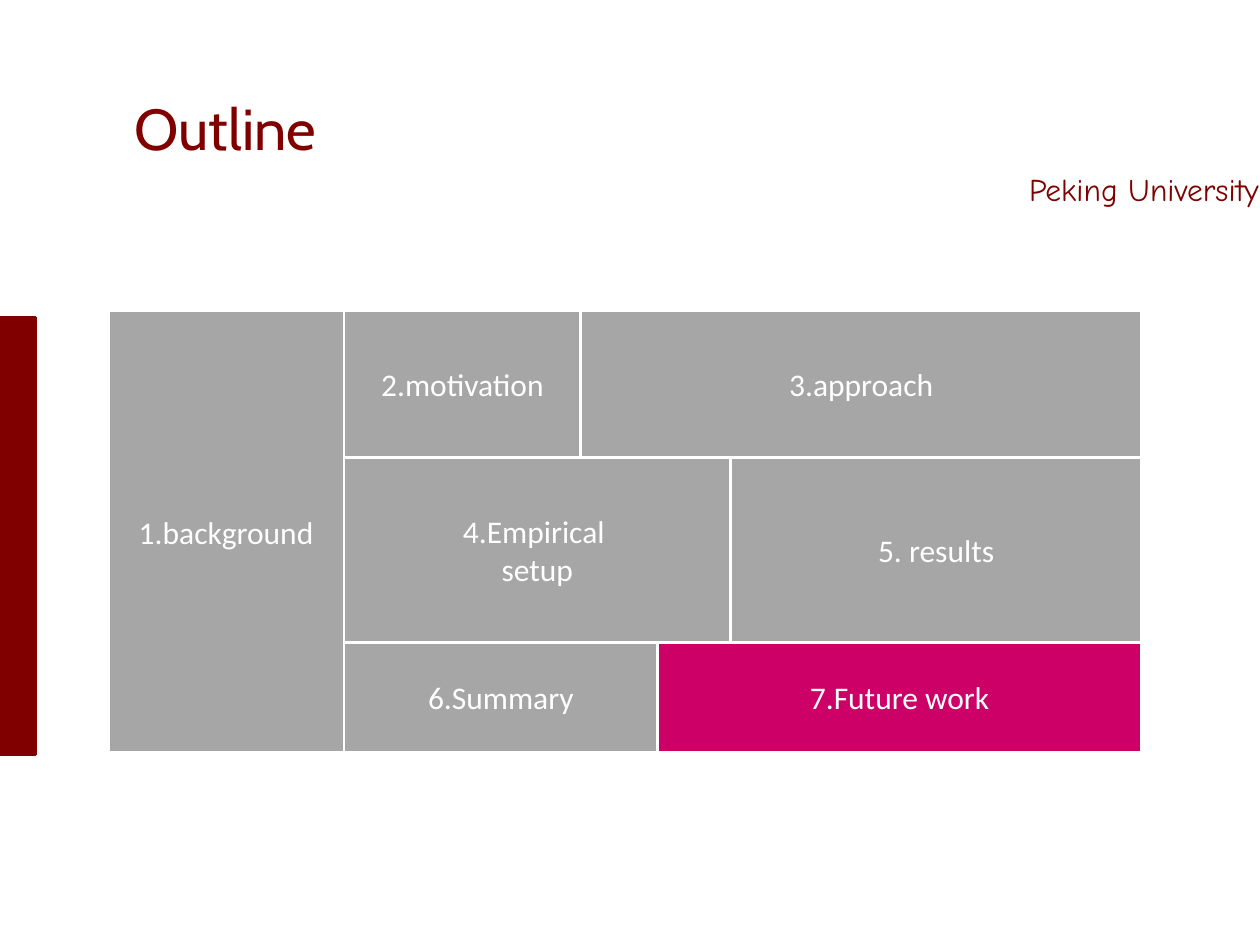
"""Outline slide: seven agenda tiles with the current section highlighted."""
from pptx import Presentation
from pptx.dml.color import RGBColor as Color
from pptx.enum.shapes import MSO_SHAPE as Shape
from pptx.enum.text import MSO_ANCHOR as Anchor, PP_ALIGN as Align
from pptx.util import Inches, Pt

COLORS = {"maroon": "800000", "tile": "A6A6A6", "current": "CC0066", "white": "FFFFFF"}
COLUMNS = [0.86, 2.73, 4.61, 5.22, 5.8, 9.06]
ROWS = [2.47, 3.63, 5.1, 5.97]
TILES = [
    ("1.background", 0, 1, 0, 3, "tile"),
    ("2.motivation", 1, 2, 0, 1, "tile"),
    ("3.approach", 2, 5, 0, 1, "tile"),
    ("4.Empirical \nsetup", 1, 4, 1, 2, "tile"),
    ("5. results", 4, 5, 1, 2, "tile"),
    ("6.Summary", 1, 3, 2, 3, "tile"),
    ("7.Future work", 3, 5, 2, 3, "current"),
]


def add_box(left, top, width, height, fill, line):
    shape = slide.shapes.add_shape(
        Shape.RECTANGLE, Inches(left), Inches(top), Inches(width), Inches(height))
    shape.shadow.inherit = False
    shape.fill.solid()
    shape.fill.fore_color.rgb = Color.from_string(COLORS[fill])
    shape.line.color.rgb = Color.from_string(COLORS[line])
    shape.line.width = Pt(1.5)
    return shape


def write(shape, text, font, size, color, align):
    frame = shape.text_frame
    frame.word_wrap = True
    frame.vertical_anchor = Anchor.MIDDLE
    frame.text = text
    for paragraph in frame.paragraphs:
        paragraph.alignment = align
        paragraph.font.name = font
        paragraph.font.size = Pt(size)
        paragraph.font.color.rgb = Color.from_string(COLORS[color])


presentation = Presentation()
presentation.slide_width = Inches(10)
presentation.slide_height = Inches(7.5)
slide = presentation.slides.add_slide(presentation.slide_layouts[6])

add_box(0, 2.52, 0.28, 3.47, "maroon", "maroon")

for text, font, size, left, top, width, height in [
    ("Peking University", "Comic Neue", 18, 8.07, 1.3, 2.63, 0.4),
    ("Outline", "Cabin", 33, 0.97, 0.52, 8.35, 1.05),
]:
    label = slide.shapes.add_textbox(
        Inches(left), Inches(top), Inches(width), Inches(height))
    write(label, text, font, size, "maroon", Align.LEFT)
    label.text_frame.paragraphs[0].line_spacing = 0.9 if text == "Outline" else 1.0

for text, first_column, last_column, first_row, last_row, fill in TILES:
    left, right = COLUMNS[first_column], COLUMNS[last_column]
    top, bottom = ROWS[first_row], ROWS[last_row]
    tile = add_box(left, top, right - left, bottom - top, fill, "white")
    write(tile, text, "Calibri", 18, "white", Align.CENTER)

presentation.save("out.pptx")
